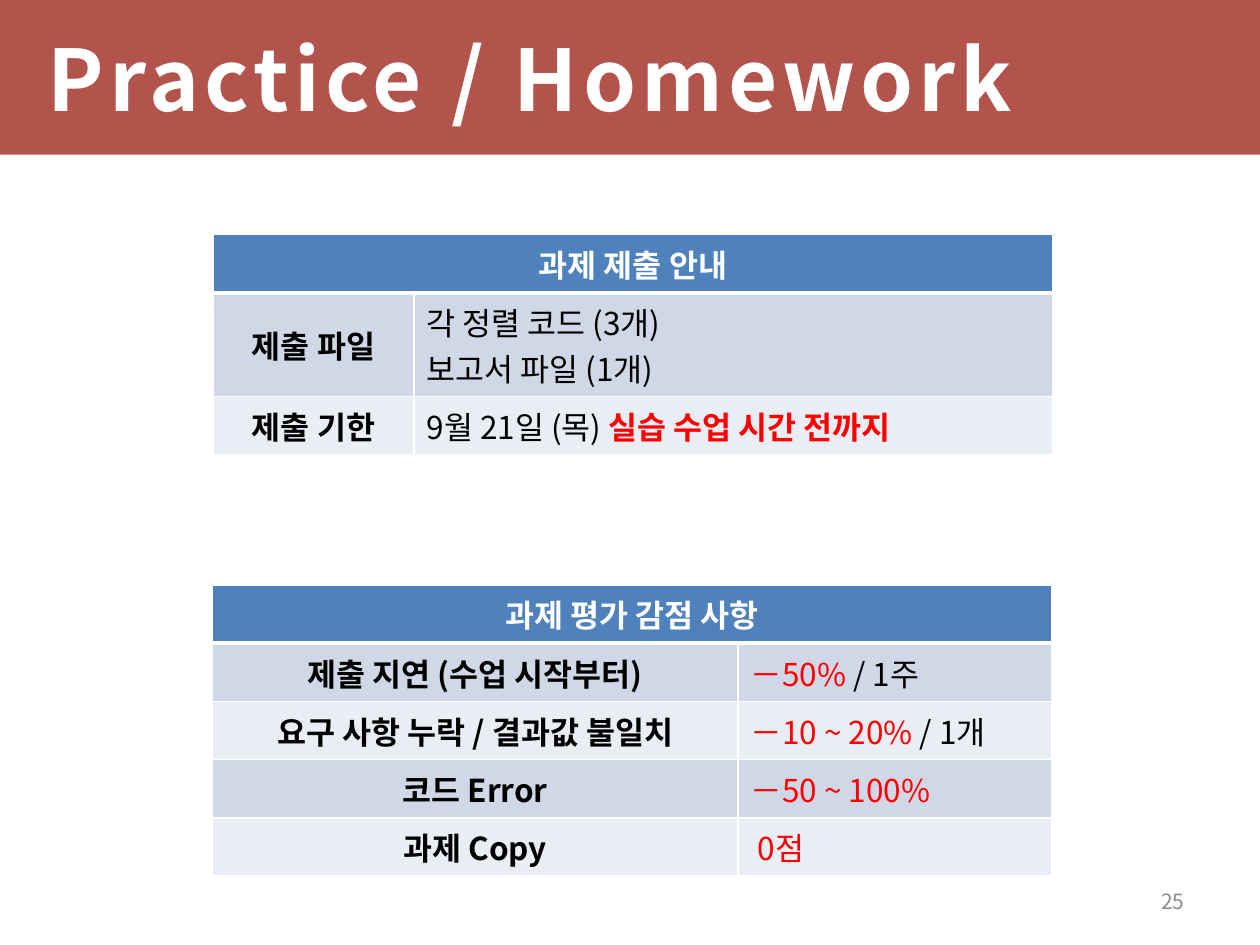
from dataclasses import dataclass

from lxml.etree import SubElement
from pptx import Presentation
from pptx.dml.color import RGBColor
from pptx.enum.shapes import MSO_SHAPE
from pptx.enum.text import MSO_ANCHOR, MSO_AUTO_SIZE, PP_ALIGN
from pptx.oxml.ns import qn
from pptx.util import Cm, Pt


@dataclass(frozen=True)
class Theme:
    font: str = "Noto Sans CJK KR"
    band: str = "9B1F13"
    band_alpha: int = 76
    header: str = "4F81BD"
    stripes: tuple = ("D0D8E8", "E9EDF4")
    white: str = "FFFFFF"
    black: str = "000000"
    red: str = "FF0000"
    grey: str = "8C8C8C"
    title_size: float = 48.5
    body_size: float = 18
    number_size: float = 12


THEME = Theme()

# Content: a cell is a list of lines, a line is a list of (text, format) spans
TITLE = "Practice / Homework"
PAGE_NUMBER = "25"
RED = {"color": THEME.red}
RED_BOLD = {"color": THEME.red, "bold": True}
TABLES = [
    {
        "header": "과제 평가 감점 사항",
        "left": 4.28, "top": 11.79, "columns": (10.6, 6.33),
        "rows": [
            ("제출 지연 (수업 시작부터)", [[("－50%", RED), (" / 1주", {})]]),
            ("요구 사항 누락 / 결과값 불일치", [[("－10 ~ 20%", RED), (" / 1개", {})]]),
            ("코드 Error", [[("－50 ~ 100%", RED)]]),
            ("과제 Copy", [[(" 0점", RED)]]),
        ],
    },
    {
        "header": "과제 제출 안내",
        "left": 4.29, "top": 4.73, "columns": (4.06, 12.88),
        "rows": [
            ("제출 파일", [[("각 정렬 코드 (3개)", {})], [("보고서 파일 (1개)", {})]]),
            ("제출 기한", [[("9월 21일 (목) ", {}), ("실습 수업 시간 전까지", RED_BOLD)]]),
        ],
    },
]
PAGE_WIDTH, PAGE_HEIGHT = 25.4, 19.05
BAND_HEIGHT = 3.12
ROW_HEIGHT = 1.03


def add_span(para, text, *, size=THEME.body_size, color=THEME.black, bold=False, spacing=None):
    span = para.add_run()
    span.text = text
    span.font.size = Pt(size)
    span.font.bold = bold
    span.font.color.rgb = RGBColor.from_string(color)
    span.font.name = THEME.font
    properties = span.font._element
    SubElement(properties, qn("a:ea")).set("typeface", THEME.font)
    if spacing:
        properties.set("spc", str(spacing * 100))


def write_lines(frame, lines, align=PP_ALIGN.LEFT):
    for index, line in enumerate(lines):
        para = frame.add_paragraph() if index else frame.paragraphs[0]
        para.alignment = align
        for text, style in line:
            add_span(para, text, **style)


def fill_cell(cell, lines, color, align=PP_ALIGN.LEFT):
    cell.fill.solid()
    cell.fill.fore_color.rgb = RGBColor.from_string(color)
    cell.vertical_anchor = MSO_ANCHOR.MIDDLE
    write_lines(cell.text_frame, lines, align)


def set_borders(cell, bottom_width):
    properties = cell._tc.get_or_add_tcPr()
    widths = {"a:lnL": 1, "a:lnR": 1, "a:lnT": 1, "a:lnB": bottom_width}
    for index, (tag, width) in enumerate(widths.items()):
        line = properties.makeelement(qn(tag), {"w": str(Pt(width))})
        fill = SubElement(line, qn("a:solidFill"))
        SubElement(fill, qn("a:srgbClr")).set("val", THEME.white)
        properties.insert(index, line)


def add_grid(page, header, left, top, columns, rows):
    count = len(rows) + 1
    table = page.shapes.add_table(
        count, len(columns), Cm(left), Cm(top), Cm(sum(columns)), Cm(ROW_HEIGHT * count)
    ).table
    for column, width in zip(table.columns, columns):
        column.width = Cm(width)

    # Header across both columns
    table.cell(0, 0).merge(table.cell(0, 1))
    fill_cell(table.cell(0, 0), [[(header, {"color": THEME.white, "bold": True})]],
              THEME.header, PP_ALIGN.CENTER)

    # Striped body rows
    for index, (label, lines) in enumerate(rows, 1):
        stripe = THEME.stripes[(index - 1) % 2]
        fill_cell(table.cell(index, 0), [[(label, {"bold": True})]], stripe, PP_ALIGN.CENTER)
        fill_cell(table.cell(index, 1), lines, stripe)

    for index in range(count):
        for column in range(len(columns)):
            set_borders(table.cell(index, column), 1 if index else 3)


def main():
    deck = Presentation()
    deck.slide_width, deck.slide_height = Cm(PAGE_WIDTH), Cm(PAGE_HEIGHT)
    page = deck.slides.add_slide(deck.slide_layouts[5])

    # Title band, behind the title
    band = page.shapes.add_shape(MSO_SHAPE.RECTANGLE, 0, 0, Cm(PAGE_WIDTH), Cm(BAND_HEIGHT))
    band.shadow.inherit = False
    band.line.fill.background()
    band.fill.solid()
    band.fill.fore_color.rgb = RGBColor.from_string(THEME.band)
    color = band._element.spPr.find(".//" + qn("a:srgbClr"))
    SubElement(color, qn("a:alpha")).set("val", str(THEME.band_alpha * 1000))
    title = page.shapes.title
    title._element.addprevious(band._element)

    # Title
    title.left, title.top, title.width, title.height = Cm(0.71), Cm(0), Cm(24), Cm(BAND_HEIGHT)
    title.text_frame.auto_size = MSO_AUTO_SIZE.NONE
    title.text_frame.vertical_anchor = MSO_ANCHOR.MIDDLE
    title_style = {"size": THEME.title_size, "color": THEME.white, "bold": True, "spacing": 3}
    write_lines(title.text_frame, [[(TITLE, title_style)]])

    # Tables
    for grid in TABLES:
        add_grid(page, **grid)

    # Page number
    box = page.shapes.add_textbox(Cm(18.21), Cm(17.65), Cm(5.92), Cm(1.02))
    box.text_frame.word_wrap = True
    box.text_frame.vertical_anchor = MSO_ANCHOR.MIDDLE
    number_style = {"size": THEME.number_size, "color": THEME.grey}
    write_lines(box.text_frame, [[(PAGE_NUMBER, number_style)]], PP_ALIGN.RIGHT)

    deck.save("out.pptx")


if __name__ == "__main__":
    main()
